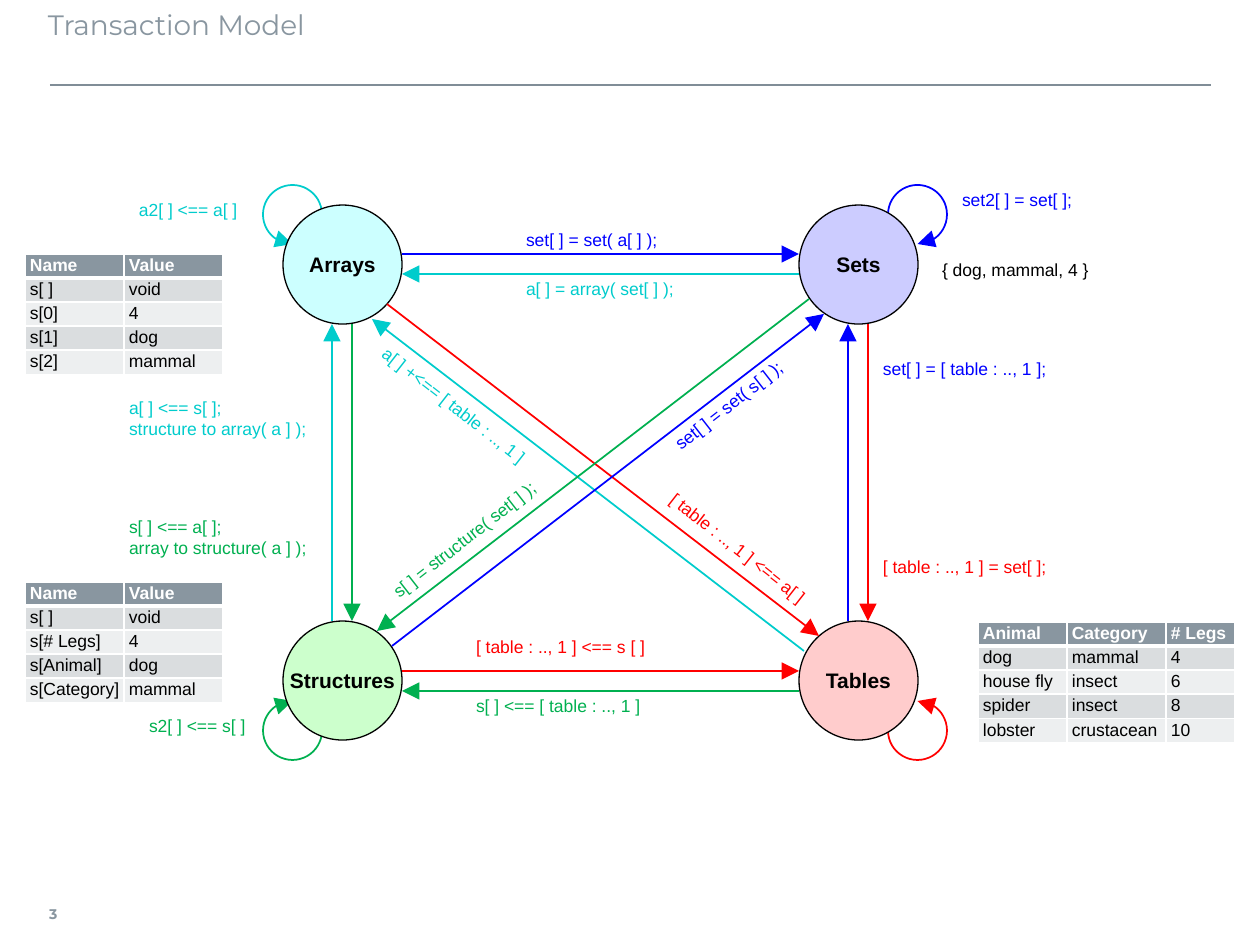
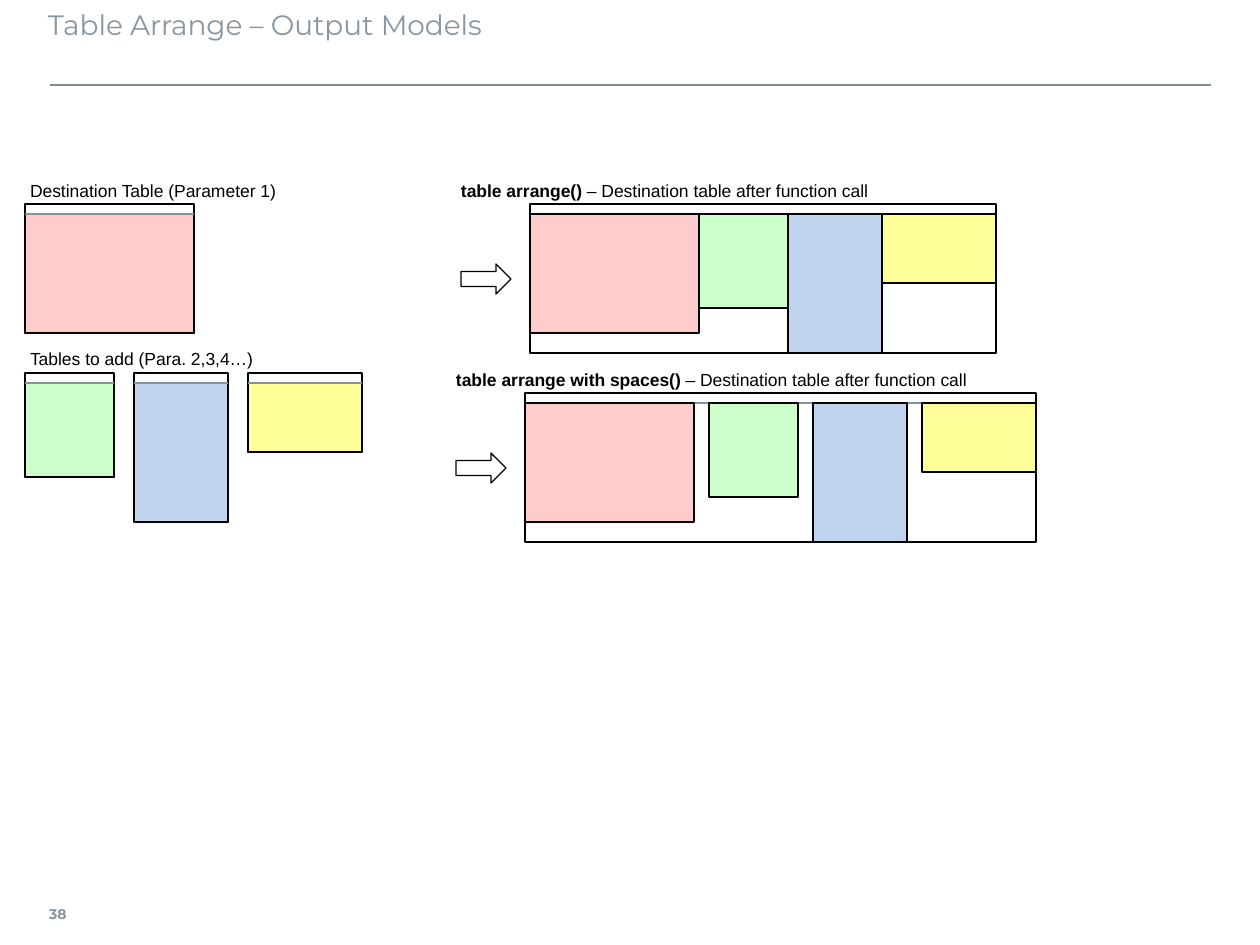
from lxml.etree import SubElement
from pptx import Presentation
from pptx.dml.color import RGBColor
from pptx.enum.shapes import MSO_CONNECTOR, MSO_SHAPE
from pptx.enum.text import MSO_ANCHOR, PP_ALIGN
from pptx.oxml import parse_xml
from pptx.oxml.ns import nsdecls, qn
from pptx.util import Emu, Pt

EMU_PER_PX = 914400 / 126
COLORS = {
    "black": "000000", "white": "FFFFFF", "slate": "8996A0", "rule": "808D97",
    "header line": "85939D", "odd row": "DADDDF", "even row": "EDEFF0",
    "arrays": "00CCCC", "sets": "0000FF", "structures": "00B050", "tables": "FF0000",
    "cyan fill": "CCFFFF", "violet fill": "CCCCFF", "green fill": "CCFFCC",
    "pink fill": "FFCCCC", "blue fill": "C1D4EE", "yellow fill": "FFFF99",
}
HEADER_HEIGHT = 10
# name: fill, width, height below the header
PARTS = {
    "destination": ("pink fill", 169, 119),
    "first": ("green fill", 89, 94),
    "second": ("blue fill", 94, 139),
    "third": ("yellow fill", 114, 69),
}


def px(length):
    return Emu(round(length * EMU_PER_PX))


def rgb(name):
    return RGBColor.from_string(COLORS[name])


def write_text(frame, text, bold_lead="", size=10, color="black", bold=False,
               font="Arial", align=PP_ALIGN.LEFT):
    """Fill a text frame, one paragraph a line, after an optional bold lead."""
    for index, line in enumerate(text.split("\n")):
        paragraph = frame.paragraphs[0] if index == 0 else frame.add_paragraph()
        paragraph.alignment = align
        pieces = [(line, bold)]
        if bold_lead and index == 0:
            pieces.insert(0, (bold_lead, True))
        for piece, is_bold in pieces:
            run = paragraph.add_run()
            run.text = piece
            run.font.name = font
            run.font.size = Pt(size)
            run.font.bold = is_bold
            run.font.color.rgb = rgb(color)


def set_insets(holder, left, top, right, bottom):
    """Set the inner margins of a text frame or a table cell."""
    holder.margin_left, holder.margin_top = px(left), px(top)
    holder.margin_right, holder.margin_bottom = px(right), px(bottom)


def add_text(slide, left, top, width, height, text, insets=(5, 5, 5, 5), rotation=0,
             wrap=False, anchor=MSO_ANCHOR.MIDDLE, **text_format):
    box = slide.shapes.add_textbox(px(left), px(top), px(width), px(height))
    box.rotation = rotation
    frame = box.text_frame
    frame.word_wrap = wrap
    frame.vertical_anchor = anchor
    set_insets(frame, *insets)
    write_text(frame, text, **text_format)


def add_shape(slide, kind, left, top, width, height, fill=None, line="black", weight=0.75):
    shape = slide.shapes.add_shape(kind, px(left), px(top), px(width), px(height))
    shape.shadow.inherit = False
    if fill:
        shape.fill.solid()
        shape.fill.fore_color.rgb = rgb(fill)
    else:
        shape.fill.background()
    shape.line.color.rgb = rgb(line)
    shape.line.width = Pt(weight)
    return shape


def add_arrowhead(shape, end="tailEnd"):
    outline = shape._element.spPr.find(qn("a:ln"))
    SubElement(outline, qn("a:" + end), type="triangle", w="lg", len="lg")


def add_line(slide, start, end, color, weight=1.0, arrow=False):
    connector = slide.shapes.add_connector(
        MSO_CONNECTOR.STRAIGHT, px(start[0]), px(start[1]), px(end[0]), px(end[1]))
    connector.line.color.rgb = rgb(color)
    connector.line.width = Pt(weight)
    if arrow:
        add_arrowhead(connector)
    SubElement(connector._element.spPr, qn("a:effectLst"))


def add_loop(slide, left, top, color, start_angle, end_angle, arrow_end):
    """Draw a three-quarter circle, clockwise between two angles in degrees."""
    loop = add_shape(slide, MSO_SHAPE.ARC, left, top, 59, 59, line=color, weight=1)
    loop.adjustments[0] = start_angle * 0.6
    loop.adjustments[1] = end_angle * 0.6
    add_arrowhead(loop, arrow_end)


def add_node(slide, left, top, name, fill):
    circle = add_shape(slide, MSO_SHAPE.OVAL, left, top, 119, 119, fill)
    frame = circle.text_frame
    frame.word_wrap = False
    frame.vertical_anchor = MSO_ANCHOR.MIDDLE
    set_insets(frame, 5, 5, 5, 5)
    write_text(frame, name, size=12, bold=True, align=PP_ALIGN.CENTER)


def set_borders(cell, bottom_weight):
    properties = cell._tc.get_or_add_tcPr()
    weights = {"lnL": 1, "lnR": 1, "lnT": 1, "lnB": bottom_weight}
    for index, (side, weight) in enumerate(weights.items()):
        properties.insert(index, parse_xml(
            f'<a:{side} {nsdecls("a")} w="{Pt(weight)}"><a:solidFill>'
            f'<a:srgbClr val="{COLORS["white"]}"/></a:solidFill></a:{side}>'))


def add_data_table(slide, left, top, column_widths, rows, row_height=24):
    table = slide.shapes.add_table(
        len(rows), len(column_widths), px(left), px(top),
        px(sum(column_widths)), px(row_height * len(rows))).table
    for column, width in zip(table.columns, column_widths):
        column.width = px(width)
    for row in table.rows:
        row.height = px(row_height)
    for row_index, values in enumerate(rows):
        is_header = row_index == 0
        fill = "slate" if is_header else "odd row" if row_index % 2 else "even row"
        for column_index, value in enumerate(values):
            cell = table.cell(row_index, column_index)
            set_insets(cell, 5, 2, 3, 1)
            cell.fill.solid()
            cell.fill.fore_color.rgb = rgb(fill)
            set_borders(cell, 3 if is_header else 1)
            write_text(cell.text_frame, value, bold=is_header,
                       color="white" if is_header else "black")


def add_slide(presentation, title, number):
    slide = presentation.slides.add_slide(presentation.slide_layouts[6])
    add_line(slide, (50, 85), (1211, 85), "rule")
    add_text(slide, 49, 889, 44, 49, number, insets=(0, 6, 10, 6),
             size=8, font="Montserrat", color="slate", bold=True)
    add_text(slide, 48, 2, 1160, 79, title, insets=(0, 6, 13, 6), wrap=True,
             anchor=MSO_ANCHOR.TOP, size=16, font="Montserrat", color="slate")
    return slide


def build_transaction_model(presentation):
    slide = add_slide(presentation, "Transaction Model", "3")

    add_loop(slide, 263, 701, "structures", 0, 270, "tailEnd")
    add_loop(slide, 888, 701, "tables", 270, 180, "headEnd")
    add_loop(slide, 263, 185, "arrays", 90, 0, "headEnd")
    add_loop(slide, 888, 185, "sets", 180, 90, "tailEnd")

    side_arrows = [
        ((402, 671), (799, 671), "tables"), ((799, 691), (402, 691), "structures"),
        ((402, 254), (799, 254), "sets"), ((799, 274), (402, 274), "arrays"),
        ((332, 621), (332, 324), "arrays"), ((352, 324), (352, 621), "structures"),
        ((868, 324), (868, 621), "tables"), ((848, 621), (848, 324), "sets"),
    ]
    diagonal_arrows = [
        ((804, 651), (372, 319), "arrays"), ((387, 304), (819, 636), "tables"),
        ((809, 299), (377, 631), "structures"), ((392, 646), (824, 314), "sets"),
    ]
    for start, end, color in side_arrows:
        add_line(slide, start, end, color, arrow=True)

    add_node(slide, 283, 621, "Structures", "green fill")
    add_node(slide, 799, 621, "Tables", "pink fill")
    add_node(slide, 799, 205, "Sets", "violet fill")
    add_node(slide, 283, 205, "Arrays", "cyan fill")

    for start, end, color in diagonal_arrows:
        add_line(slide, start, end, color, arrow=True)

    labels = [
        (878, 353, "set[ ] = [ table : .., 1 ];", "sets", 0),
        (937, 254, "{ dog, mammal, 4 }", "black", 0),
        (878, 551, "[ table : .., 1 ] = set[ ];", "tables", 0),
        (471, 631, "[ table : .., 1 ] <== s [ ]", "tables", 0),
        (471, 690, "s[ ] <== [ table : .., 1 ]", "structures", 0),
        (521, 224, "set[ ] = set( a[ ] );", "sets", 0),
        (521, 273, "a[ ] = array( set[ ] );", "arrays", 0),
        (124, 403, "a[ ] <== s[ ];\nstructure to array( a ] );", "arrays", 0),
        (124, 522, "s[ ] <== a[ ];\narray to structure( a ] );", "structures", 0),
        (134, 194, "a2[ ] <== a[ ]", "arrays", 0),
        (144, 710, "s2[ ] <== s[ ]", "structures", 0),
        (957, 184, "set2[ ] = set[ ];", "sets", 0),
        (360, 394, "a[ ] +<== [ table : .., 1 ]", "arrays", 38),
        (648, 540, "[ table : .., 1 ] <== a[ ]", "tables", 38),
        (370, 520, "s[ ] = structure( set[ ] );", "structures", -38),
        (652, 372, "set[ ] = set( s[ ] );", "sets", -38),
    ]
    for left, top, text, color, rotation in labels:
        add_text(slide, left, top, 198, 30, text, rotation=rotation, color=color)

    add_data_table(slide, 978, 622, (89, 99, 69), [
        ("Animal", "Category", "# Legs"),
        ("dog", "mammal", "4"),
        ("house fly", "insect", "6"),
        ("spider", "insect", "8"),
        ("lobster", "crustacean", "10"),
    ])
    values = ("Value", "void", "4", "dog", "mammal")
    structure_names = ("Name", "s[ ]", "s[# Legs]", "s[Animal]", "s[Category]")
    array_names = ("Name", "s[ ]", "s[0]", "s[1]", "s[2]")
    for top, names in ((582, structure_names), (254, array_names)):
        add_data_table(slide, 25, top, (99, 99), list(zip(names, values)))


def add_caption(slide, left, top, text, width=270, bold_lead=""):
    add_text(slide, left, top, width, 20, text, bold_lead=bold_lead)


def add_part(slide, name, left, top):
    fill, width, height = PARTS[name]
    add_shape(slide, MSO_SHAPE.RECTANGLE, left, top, width, height, fill)


def add_input_table(slide, name, left, top):
    """Draw one source table with its empty header strip."""
    _, width, height = PARTS[name]
    body_top = top + HEADER_HEIGHT
    add_shape(slide, MSO_SHAPE.RECTANGLE, left, top, width, height + HEADER_HEIGHT)
    add_part(slide, name, left, body_top)
    add_line(slide, (left, body_top), (left + width, body_top), "header line", 0.75)


def add_arranged_table(slide, left, top, gap, function_name):
    """Draw the result table: all parts side by side, with a gap between them."""
    body_top = top + HEADER_HEIGHT
    width = sum(part[1] for part in PARTS.values()) + gap * (len(PARTS) - 1)
    height = max(part[2] for part in PARTS.values()) + HEADER_HEIGHT
    add_caption(slide, left - 74, top - 24, " – Destination table after function call",
                width=540, bold_lead=function_name)
    add_shape(slide, MSO_SHAPE.RIGHT_ARROW, left - 69, top + 60, 50, 30)
    add_shape(slide, MSO_SHAPE.RECTANGLE, left, top, width, height)
    add_line(slide, (left, body_top), (left + 407, body_top), "header line", 0.75)
    for name, (_, part_width, _) in PARTS.items():
        add_part(slide, name, left, body_top)
        left += part_width + gap


def build_table_arrange(presentation):
    slide = add_slide(presentation, "Table Arrange – Output Models", "38")
    add_caption(slide, 25, 180, "Destination Table (Parameter 1)")
    add_input_table(slide, "destination", 25, 204)
    add_caption(slide, 25, 349, "Tables to add (Para. 2,3,4…)")
    left = 25
    for name in ("first", "second", "third"):
        add_input_table(slide, name, left, 373)
        left += PARTS[name][1] + 20
    add_arranged_table(slide, 530, 204, 0, "table arrange()")
    add_arranged_table(slide, 525, 393, 15, "table arrange with spaces()")


def main():
    presentation = Presentation()
    presentation.slide_width = px(1260)
    presentation.slide_height = px(945)
    build_transaction_model(presentation)
    build_table_arrange(presentation)
    presentation.save("out.pptx")


if __name__ == "__main__":
    main()
